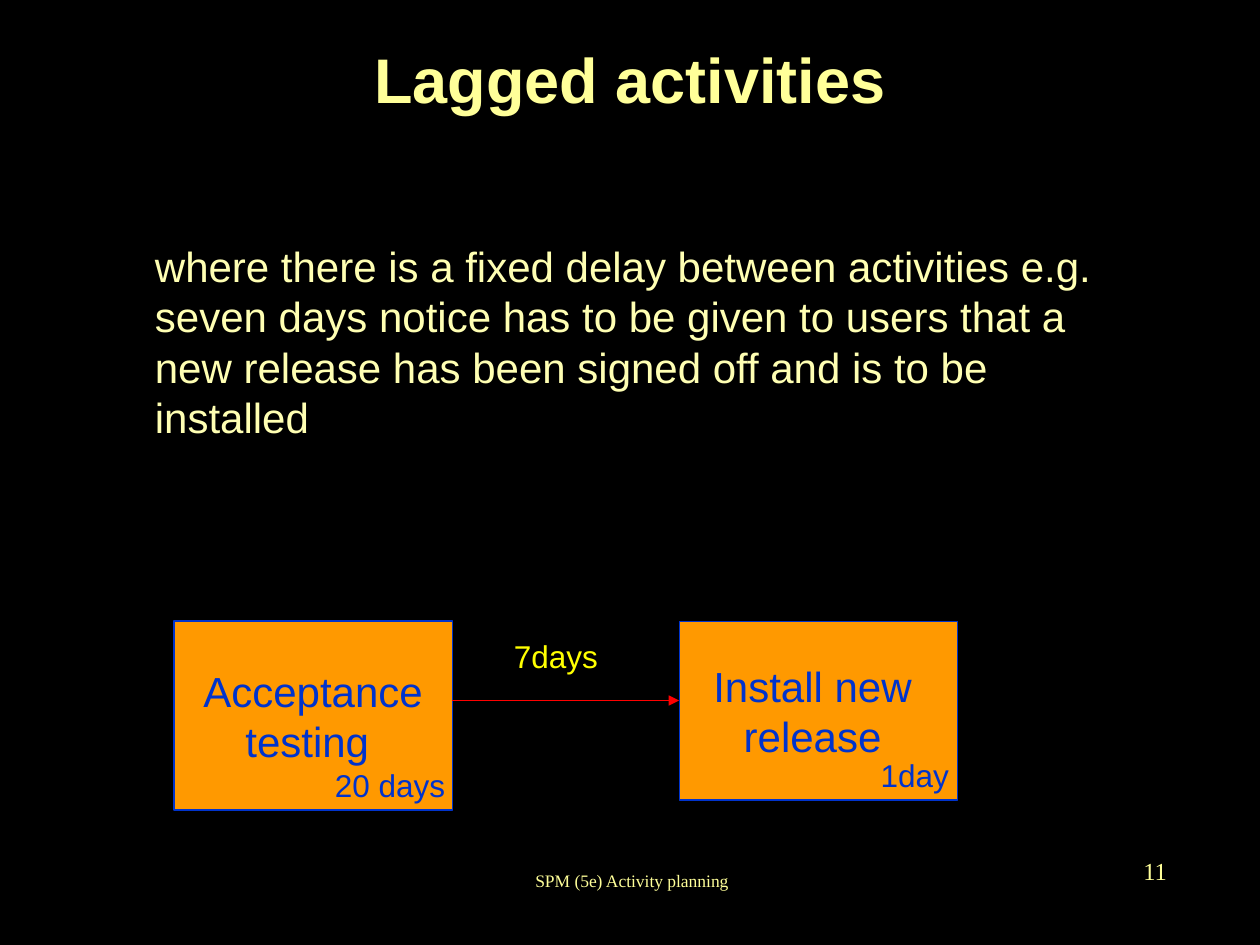
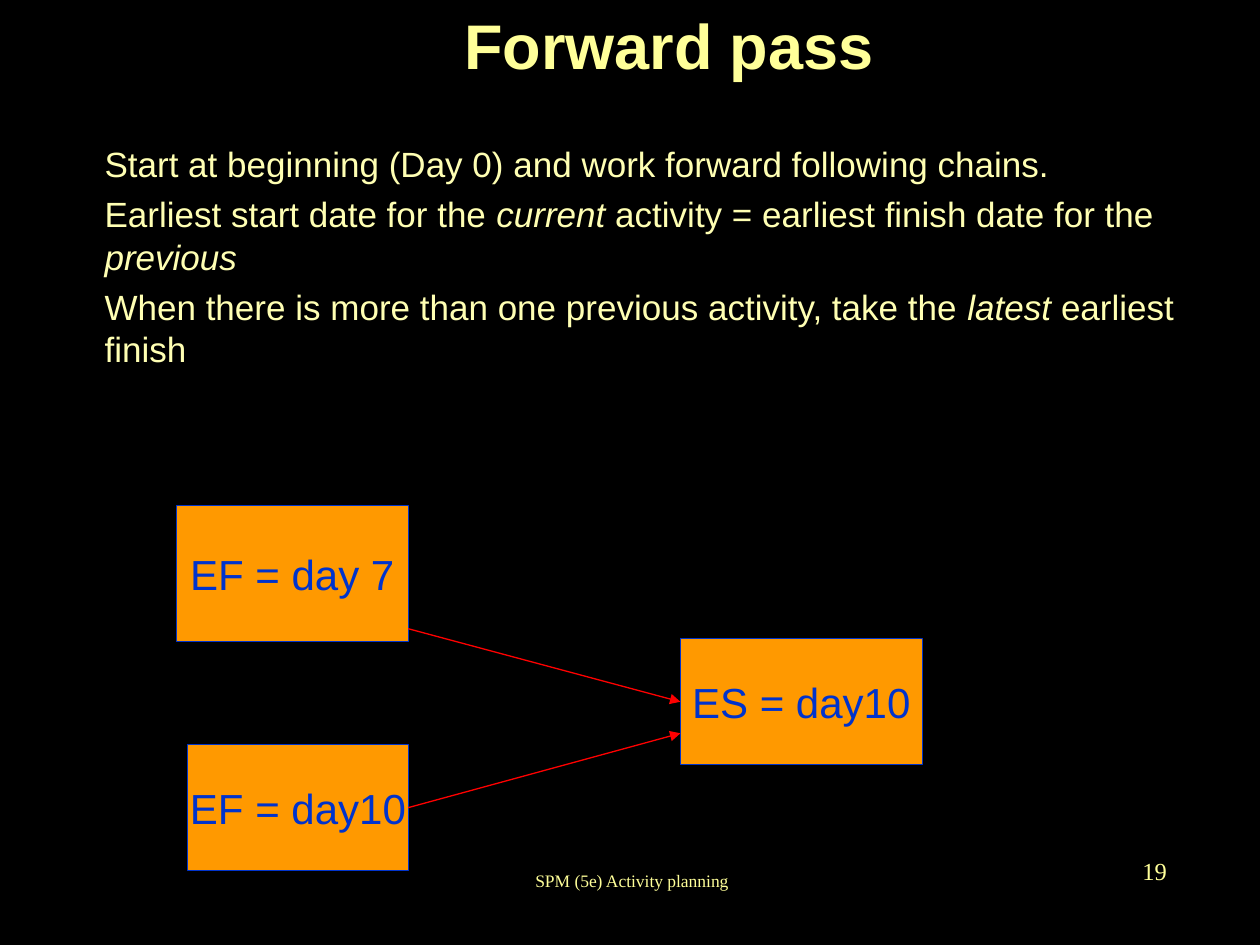
from dataclasses import dataclass

from lxml import etree
from pptx import Presentation
from pptx.dml.color import RGBColor
from pptx.enum.shapes import MSO_CONNECTOR, MSO_SHAPE
from pptx.enum.text import MSO_ANCHOR, PP_ALIGN
from pptx.oxml.ns import qn
from pptx.util import Inches, Pt

LEFT, CENTER, RIGHT = PP_ALIGN.LEFT, PP_ALIGN.CENTER, PP_ALIGN.RIGHT
TOP, MIDDLE = MSO_ANCHOR.TOP, MSO_ANCHOR.MIDDLE
RECT, STRAIGHT = MSO_SHAPE.RECTANGLE, MSO_CONNECTOR.STRAIGHT

COLORS = {
    "background": "000000",
    "heading": "FFFF99",
    "body": "FFFFB3",
    "box": "FF9900",
    "ink": "0033CC",
    "arrow": "FF0000",
    "lag": "FFFF00",
}
SANS, SERIF = "Arial", "Times New Roman"
WIDTH, HEIGHT = Inches(10), Inches(7.5)
COLS, ROWS = 100, 75
LINE_WIDTH = Pt(0.75)
FOOTER = "SPM (5e) Activity planning"


@dataclass(frozen=True)
class Area:
    col: float
    row: float
    cols: float
    rows: float


@dataclass(frozen=True)
class Activity:
    area: Area
    text: str


@dataclass(frozen=True)
class Link:
    source: Activity
    target: Activity
    row_from: float
    row_to: float


@dataclass(frozen=True)
class Label:
    area: Area
    text: str
    color: str


@dataclass(frozen=True)
class Page:
    number: int
    title: str
    title_area: Area
    body: str
    body_area: Area
    body_size: int
    body_gap: int
    activities: tuple[Activity, ...]
    links: tuple[Link, ...]
    labels: tuple[Label, ...] = ()


FOOTER_AREA = Area(34.3, 67.4, 31.7, 5)
NUMBER_AREA = Area(72.8, 66.6, 20.8, 5)


def x(col: float) -> int:
    return round(WIDTH * col / COLS)


def y(row: float) -> int:
    return round(HEIGHT * row / ROWS)


def place(area: Area) -> tuple[int, int, int, int]:
    return x(area.col), y(area.row), x(area.cols), y(area.rows)


def rgb(name: str) -> RGBColor:
    return RGBColor.from_string(COLORS[name])


def write(sp, text: str, *, size: int, color: str, font: str = SANS,
          bold: bool = False, align=LEFT, anchor=TOP, wrap: bool = True,
          gap: int = 0, indent: float = 0) -> None:
    tf = sp.text_frame
    tf.word_wrap = wrap
    tf.vertical_anchor = anchor
    tf.margin_left = Inches(0.1) + x(indent)
    for i, line in enumerate(text.split("\n")):
        p = tf.paragraphs[0] if i == 0 else tf.add_paragraph()
        p.alignment = align
        p.space_before = Pt(gap)
        for j, part in enumerate(line.split("*")):
            if part:
                r = p.add_run()
                r.text = part
                r.font.name = font
                r.font.size = Pt(size)
                r.font.bold = bold
                r.font.italic = j % 2 == 1
                r.font.color.rgb = rgb(color)


def add_text(s, area: Area, text: str, **style) -> None:
    write(s.shapes.add_textbox(*place(area)), text, **style)


def add_activity(s, activity: Activity) -> None:
    sp = s.shapes.add_shape(RECT, *place(activity.area))
    sp.shadow.inherit = False
    sp.fill.solid()
    sp.fill.fore_color.rgb = rgb("box")
    sp.line.color.rgb = rgb("ink")
    sp.line.width = LINE_WIDTH
    write(sp, activity.text, size=24, color="ink", align=CENTER,
          anchor=MIDDLE, wrap=False)


def add_link(s, link: Link) -> None:
    start = link.source.area
    cx = s.shapes.add_connector(
        STRAIGHT, x(start.col + start.cols), y(link.row_from),
        x(link.target.area.col), y(link.row_to))
    cx.line.color.rgb = rgb("arrow")
    cx.line.width = LINE_WIDTH
    props = cx._element.spPr
    etree.SubElement(props.get_or_add_ln(), qn("a:tailEnd"), type="triangle")
    etree.SubElement(props, qn("a:effectLst"))


def add_page(prs, page: Page) -> None:
    s = prs.slides.add_slide(prs.slide_layouts[6])
    add_text(s, page.title_area, page.title, size=36, color="heading",
             bold=True, align=CENTER, anchor=MIDDLE)
    add_text(s, page.body_area, page.body, size=page.body_size, color="body",
             gap=page.body_gap, indent=3.8)
    for activity in page.activities:
        add_activity(s, activity)
    for link in page.links:
        add_link(s, link)
    for label in page.labels:
        add_text(s, label.area, label.text, size=18, color=label.color)
    add_text(s, FOOTER_AREA, FOOTER, size=10, color="heading", font=SERIF,
             align=CENTER, anchor=MIDDLE)
    add_text(s, NUMBER_AREA, str(page.number), size=14, color="heading",
             font=SERIF, align=RIGHT, anchor=MIDDLE)


ACCEPTANCE = Activity(Area(13.8, 49.3, 22.1, 15), "Acceptance\ntesting ")
INSTALL = Activity(Area(53.9, 49.3, 22.1, 14.2), "Install new \nrelease ")
FINISH_7 = Activity(Area(14, 40.1, 18.4, 10.8), "EF = day 7")
FINISH_10 = Activity(Area(14.9, 59.1, 17.5, 10), "EF = day10")
START_10 = Activity(Area(54, 50.7, 19.2, 10), "ES = day10")

PAGES = (
    Page(
        number=11,
        title="Lagged activities",
        title_area=Area(7.5, 0, 85, 12.5),
        body="where there is a fixed delay between activities e.g. seven days "
             "notice has to be given to users that a new release has been "
             "signed off and is to be installed",
        body_area=Area(7.5, 18.6, 85, 25.7),
        body_size=24,
        body_gap=6,
        activities=(ACCEPTANCE, INSTALL),
        links=(Link(ACCEPTANCE, INSTALL, 55.6, 55.6),),
        labels=(
            Label(Area(39.8, 50.1, 9.5, 4), "7days", "lag"),
            Label(Area(25.6, 60.3, 11.5, 4), "20 days", "ink"),
            Label(Area(68.9, 59.5, 8.2, 4), "1day", "ink"),
        ),
    ),
    Page(
        number=19,
        title="Forward pass",
        title_area=Area(10.6, 0, 85, 7.1),
        body="Start at beginning (Day 0) and work forward following chains.\n"
             "Earliest start date for the *current* activity = earliest finish "
             "date for the *previous*\n"
             "When there is more than one previous activity, take the *latest* "
             "earliest finish",
        body_area=Area(3.5, 10.8, 94.5, 30.7),
        body_size=20,
        body_gap=5,
        activities=(FINISH_7, FINISH_10, START_10),
        links=(
            Link(FINISH_7, START_10, 49.9, 55.7),
            Link(FINISH_10, START_10, 64.1, 58.2),
        ),
    ),
)


def main() -> None:
    prs = Presentation()
    prs.slide_width, prs.slide_height = WIDTH, HEIGHT
    fill = prs.slide_master.background.fill
    fill.solid()
    fill.fore_color.rgb = rgb("background")
    for page in PAGES:
        add_page(prs, page)
    prs.save("out.pptx")


if __name__ == "__main__":
    main()
